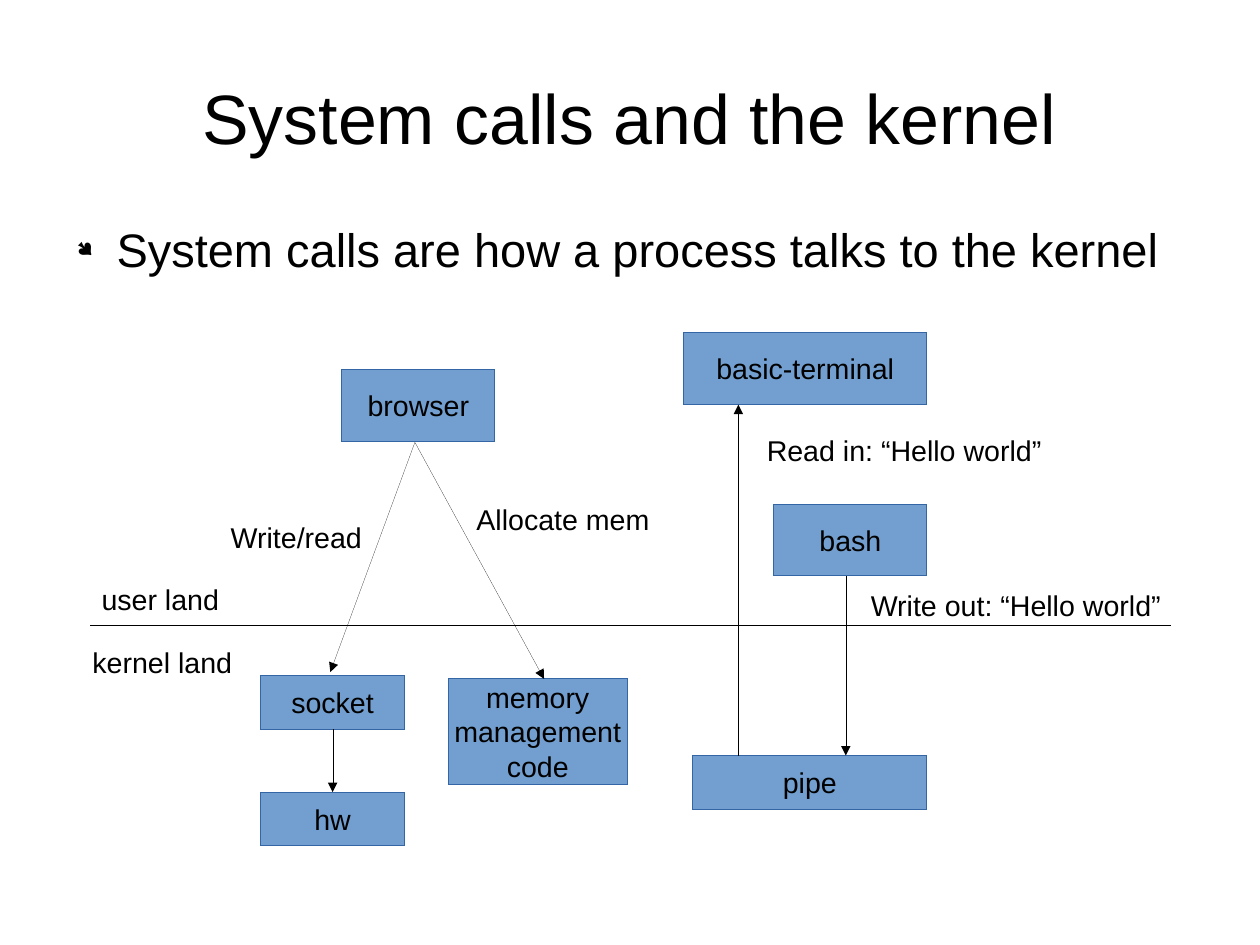
import pptx
import pptx.util
import pptx.dml.color
import pptx.enum.shapes
import pptx.enum.text
import pptx.oxml.ns
import lxml.etree

Inches, Pt = pptx.util.Inches, pptx.util.Pt
PP_ALIGN = pptx.enum.text.PP_ALIGN
ANCHOR = pptx.enum.text.MSO_ANCHOR
COLORS = {"text": "000000", "line": "000000", "box": "729FCF", "border": "3465A4"}
FONT = "Arial"
LABEL_H = 0.38
CM_PER_INCH = 2.54


def rgb(name):
    return pptx.dml.color.RGBColor.from_string(COLORS[name])


def add_xml(parent, tag, **attrs):
    return lxml.etree.SubElement(parent, pptx.oxml.ns.qn(tag), **attrs)


def write(tf, text, size=18, align=PP_ALIGN.LEFT):
    tf.text = text
    for p in tf.paragraphs:
        p.alignment = align
        for r in p.runs:
            r.font.name = FONT
            r.font.size = Pt(size)
            r.font.color.rgb = rgb("text")


def set_hairline(sp, color):
    """Give the outline a zero width, which has to be stated in the XML."""
    sp.line.color.rgb = rgb(color)
    sp.line._ln.set("w", "0")


def add_text(s, x, y, w, h, text, size, align=PP_ALIGN.LEFT):
    """Add a wrapping text box without margins."""
    tf = s.shapes.add_textbox(Inches(x), Inches(y), Inches(w), Inches(h)).text_frame
    tf.word_wrap = True
    tf.margin_left = tf.margin_right = tf.margin_top = tf.margin_bottom = 0
    write(tf, text, size, align)
    return tf


def add_label(s, x, y, w, text):
    tf = s.shapes.add_textbox(Inches(x), Inches(y), Inches(w), Inches(LABEL_H)).text_frame
    tf.word_wrap = False
    tf.auto_size = pptx.enum.text.MSO_AUTO_SIZE.SHAPE_TO_FIT_TEXT
    write(tf, text)


def add_box(s, x, y, w, h, text):
    sp = s.shapes.add_shape(pptx.enum.shapes.MSO_SHAPE.RECTANGLE,
                            Inches(x), Inches(y), Inches(w), Inches(h))
    sp.shadow.inherit = False
    sp.fill.solid()
    sp.fill.fore_color.rgb = rgb("box")
    set_hairline(sp, "border")
    sp.text_frame.word_wrap = False
    sp.text_frame.vertical_anchor = ANCHOR.MIDDLE
    write(sp.text_frame, text, align=PP_ALIGN.CENTER)


def add_line(s, x1, y1, x2, y2, arrow=True):
    line = s.shapes.add_connector(pptx.enum.shapes.MSO_CONNECTOR.STRAIGHT,
                                  Inches(x1), Inches(y1), Inches(x2), Inches(y2))
    set_hairline(line, "line")
    if arrow:
        add_xml(line.line._ln, "a:tailEnd", type="triangle")
    add_xml(line._element.spPr, "a:effectLst")


def draw_heading(s, x, y, w):
    tf = add_text(s, x, y, w, 1.38, "System calls and the kernel", 44, PP_ALIGN.CENTER)
    tf.vertical_anchor = ANCHOR.MIDDLE

    tf = add_text(s, x, y + 1.6, w, 0.74,
                  "System calls are how a process talks to the kernel", 29.6)
    p = tf.paragraphs[0]
    p.space_before = Pt(14.2)
    pPr = p._p.get_or_add_pPr()
    pPr.set("marL", str(Inches(0.47)))
    pPr.set("indent", str(Inches(-0.35)))
    add_xml(add_xml(pPr, "a:buClr"), "a:srgbClr", val=COLORS["text"])
    add_xml(pPr, "a:buSzPct", val="45000")
    add_xml(pPr, "a:buFont", typeface="Wingdings", charset="2")
    add_xml(pPr, "a:buChar", char="●")


def draw_boundary(s, x, y, w):
    """Draw the line between user land and kernel land."""
    add_line(s, x, y, x + w, y, arrow=False)
    add_label(s, x - 0.08, y + 0.12, 1.42, "kernel land")
    add_label(s, x, y - 0.43, 1.23, "user land")


def draw_browser_calls(s, x, y):
    """Draw the browser's calls; x is the left of the socket, y the top."""
    socket_w, socket_h = 1.26, 0.47
    socket_y, hw_y, memory_y = y + 2.68, y + 3.7, y + 2.71
    middle = x + socket_w / 2
    add_box(s, x + 0.71, y, 1.34, 0.63, "browser")
    add_box(s, x, socket_y, socket_w, socket_h, "socket")
    add_box(s, x, hw_y, socket_w, socket_h, "hw")
    add_box(s, x + 1.64, memory_y, 1.57, 0.92, "memory\nmanagement\ncode")
    start_x, start_y = x + 1.35, y + 0.64
    add_line(s, start_x, start_y, middle - 0.02, socket_y - 0.03)
    add_line(s, start_x, start_y, x + 2.48, memory_y)
    add_line(s, middle, socket_y + socket_h, middle, hw_y)
    add_label(s, x - 0.36, y + 1.27, 1.35, "Write/read")
    add_label(s, x + 1.79, y + 1.11, 1.74, "Allocate mem")


def draw_pipe_calls(s, x, y, w):
    """Draw the terminal, shell and pipe, all flush right in the width."""
    right, box_h = x + w, 0.63
    bash_w, bash_y = 1.34, y + 1.5
    pipe_w, pipe_y = 2.05, y + 3.7
    add_box(s, x, y, w, box_h, "basic-terminal")
    add_box(s, right - bash_w, bash_y, bash_w, box_h, "bash")
    add_box(s, right - pipe_w, pipe_y, pipe_w, 0.47, "pipe")
    add_line(s, x + 1.42, bash_y + box_h, x + 1.42, pipe_y)
    add_line(s, x + 0.48, pipe_y, x + 0.48, y + box_h)
    add_label(s, x + 1.54, y + 2.18, 2.75, "Write out: “Hello world”")
    add_label(s, x + 0.63, y + 0.83, 3.72, "Read in: “Hello world”")


def main():
    prs = pptx.Presentation()
    prs.slide_width = Inches(28 / CM_PER_INCH)
    prs.slide_height = Inches(21 / CM_PER_INCH)
    s = prs.slides.add_slide(prs.slide_layouts[6])
    draw_heading(s, 0.55, 0.33, 9.92)
    draw_boundary(s, 0.79, 5.47, 9.45)
    draw_browser_calls(s, 2.28, 3.23)
    draw_pipe_calls(s, 5.98, 2.91, 2.13)
    prs.save("out.pptx")


if __name__ == "__main__":
    main()
